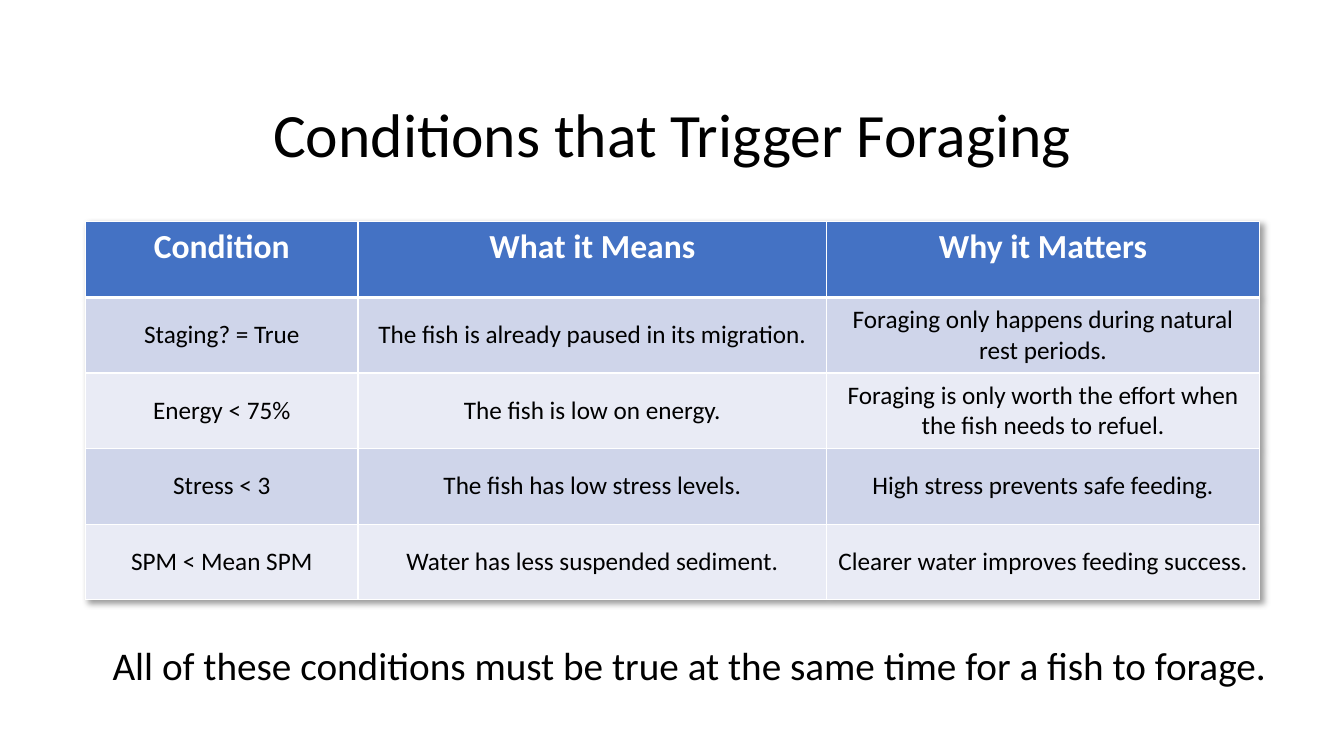
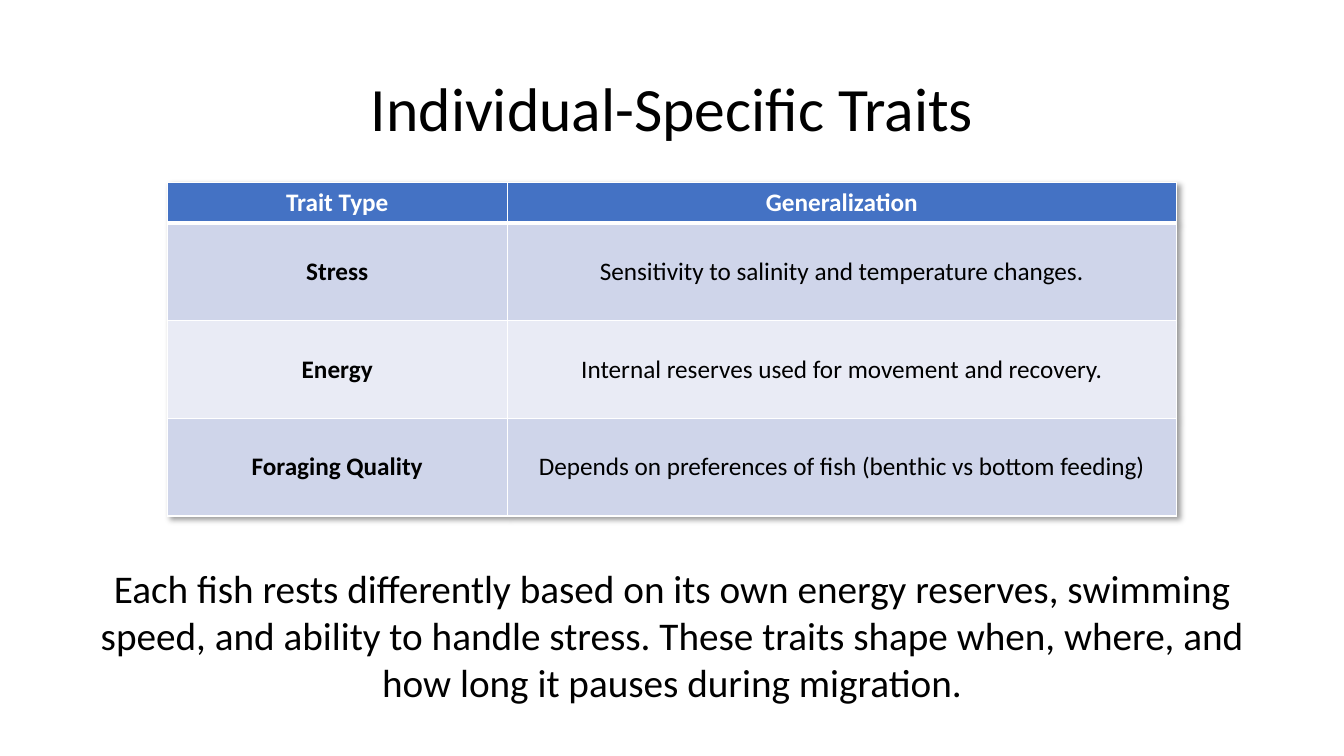
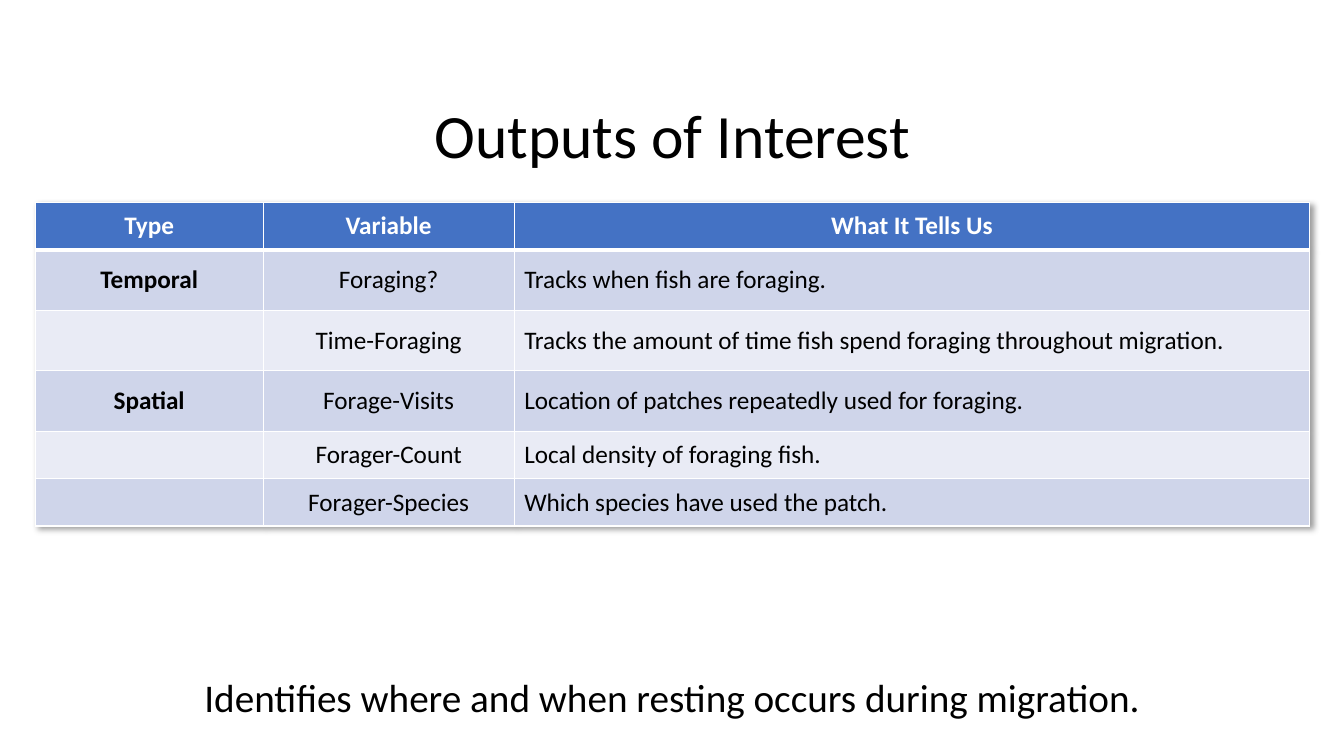
"""Build three slides on fish foraging, each with a title, a table and a takeaway."""
from lxml.etree import SubElement
from pptx import Presentation
from pptx.dml.color import RGBColor
from pptx.enum.text import MSO_ANCHOR as Anchor, PP_ALIGN as Align
from pptx.oxml import parse_xml
from pptx.oxml.ns import nsdecls, qn
from pptx.util import Pt

PX = 9144
SLIDE_WIDTH, SLIDE_HEIGHT = 1333, 750
FONT = "Calibri"
BLACK, WHITE = "000000", "FFFFFF"
HEADER_FILL = "4472C4"
BAND_FILLS = ("CFD5EA", "E9EBF5")
BODY_SIZE, TITLE_SIZE, TAKEAWAY_SIZE = 18, 44, 28
THIN, THICK = 1, 3

CONDITIONS = [
    ("Condition", "What it Means", "Why it Matters"),
    ("Staging? = True", "The fish is already paused in its migration.",
     "Foraging only happens during natural rest periods."),
    ("Energy < 75%", "The fish is low on energy.",
     "Foraging is only worth the effort when the fish needs to refuel."),
    ("Stress < 3", "The fish has low stress levels.", "High stress prevents safe feeding."),
    ("SPM < Mean SPM", "Water has less suspended sediment.",
     "Clearer water improves feeding success."),
]
TRAITS = [
    ("Trait Type", "Generalization"),
    ("Stress", "Sensitivity to salinity and temperature changes."),
    ("Energy", "Internal reserves used for movement and recovery."),
    ("Foraging Quality", "Depends on preferences of fish (benthic vs bottom feeding)"),
]
OUTPUTS = [
    ("Type", "Variable", "What It Tells Us"),
    ("Temporal", "Foraging?", "Tracks when fish are foraging."),
    ("", "Time-Foraging", "Tracks the amount of time fish spend foraging throughout migration."),
    ("Spatial", "Forage-Visits", "Location of patches repeatedly used for foraging."),
    ("", "Forager-Count", "Local density of foraging fish."),
    ("", "Forager-Species", "Which species have used the patch."),
]


def color(hex_string):
    """Turn a hex string into a colour."""
    return RGBColor.from_string(hex_string)


def write_text(text_frame, text, size, hex_color=BLACK, bold=False, align=Align.CENTER):
    """Write one formatted paragraph and return it."""
    text_frame.text = text
    paragraph = text_frame.paragraphs[0]
    paragraph.alignment = align
    for run in paragraph.runs:
        run.font.name = FONT
        run.font.size = Pt(size)
        run.font.bold = bold
        run.font.color.rgb = color(hex_color)
    return paragraph


def add_text(slide, box, text, size, anchor=Anchor.TOP):
    """Add a wrapped, centred text box and return its paragraph."""
    shape = slide.shapes.add_textbox(*(length * PX for length in box))
    shape.text_frame.word_wrap = True
    shape.text_frame.vertical_anchor = anchor
    return write_text(shape.text_frame, text, size)


def add_title(slide, text, top):
    """Add the slide title."""
    paragraph = add_text(slide, (92, top, 1150, 145), text, TITLE_SIZE, Anchor.MIDDLE)
    paragraph.line_spacing = 0.9


def add_borders(cell, top, bottom):
    """Draw white borders around a cell, with the given top and bottom widths."""
    properties = cell._tc.get_or_add_tcPr()
    for side, width in (("L", THIN), ("R", THIN), ("T", top), ("B", bottom)):
        line = SubElement(properties, qn(f"a:ln{side}"), w=str(Pt(width)))
        fill = SubElement(line, qn("a:solidFill"))
        SubElement(fill, qn("a:srgbClr"), val=WHITE)


def add_table_shadow(table):
    """Give the table a soft shadow to the lower right."""
    table._tbl.tblPr.insert(0, parse_xml(
        f'<a:effectLst {nsdecls("a")}><a:outerShdw blurRad="50800" dist="38100" dir="2700000" '
        'algn="tl" rotWithShape="0"><a:srgbClr val="000000"><a:alpha val="40000"/></a:srgbClr>'
        '</a:outerShdw></a:effectLst>'))


def style_cell(cell, text, row, size, bold, align, anchor):
    """Fill, border and write one header or body cell."""
    header = row == 0
    add_borders(cell, THICK if row == 1 else THIN, THICK if header else THIN)
    cell.fill.solid()
    cell.fill.fore_color.rgb = color(HEADER_FILL if header else BAND_FILLS[(row - 1) % 2])
    cell.vertical_anchor = anchor
    write_text(cell.text_frame, text, size, WHITE if header else BLACK, bold, align)


def add_table(slide, position, widths, heights, rows, header_size=BODY_SIZE,
              header_anchor=Anchor.MIDDLE, bold_first=True, left_columns=()):
    """Add a banded table with a header row."""
    left, top = position
    frame = slide.shapes.add_table(len(rows), len(widths), left * PX, top * PX,
                                   sum(widths) * PX, sum(heights) * PX)
    table = frame.table
    add_table_shadow(table)
    for column, width in zip(table.columns, widths):
        column.width = width * PX
    for table_row, height in zip(table.rows, heights):
        table_row.height = height * PX
    for row, texts in enumerate(rows):
        header = row == 0
        for column, text in enumerate(texts):
            left_aligned = column in left_columns and not header
            style_cell(table.cell(row, column), text, row,
                       size=header_size if header else BODY_SIZE,
                       bold=header or (bold_first and column == 0),
                       align=Align.LEFT if left_aligned else Align.CENTER,
                       anchor=header_anchor if header else Anchor.MIDDLE)


def main():
    """Build and save the presentation."""
    presentation = Presentation()
    presentation.slide_width = SLIDE_WIDTH * PX
    presentation.slide_height = SLIDE_HEIGHT * PX
    blank = presentation.slide_layouts[6]

    slide = presentation.slides.add_slide(blank)
    add_title(slide, "Conditions that Trigger Foraging", 64)
    add_table(slide, (85, 220), (270, 465, 429), [75] * 5, CONDITIONS,
              header_size=24, header_anchor=Anchor.TOP, bold_first=False)
    add_text(slide, (93, 631, 1181, 57),
             "All of these conditions must be true at the same time for a fish to forage.",
             TAKEAWAY_SIZE)

    slide = presentation.slides.add_slide(blank)
    add_title(slide, "Individual-Specific Traits", 38)
    add_table(slide, (166, 181), (337, 664), [40] + [97] * 3, TRAITS)
    add_text(slide, (55, 555, 1223, 151),
             "Each fish rests differently based on its own energy reserves, swimming speed, "
             "and ability to handle stress. These traits shape when, where, and how long it "
             "pauses during migration.", TAKEAWAY_SIZE)

    slide = presentation.slides.add_slide(blank)
    add_title(slide, "Outputs of Interest", 65)
    add_table(slide, (35, 201), (226, 249, 789), [47] + [60] * 3 + [47] * 2, OUTPUTS,
              left_columns=(2,))
    add_text(slide, (55, 663, 1223, 57),
             "Identifies where and when resting occurs during migration.", TAKEAWAY_SIZE)

    presentation.save("out.pptx")


if __name__ == "__main__":
    main()
